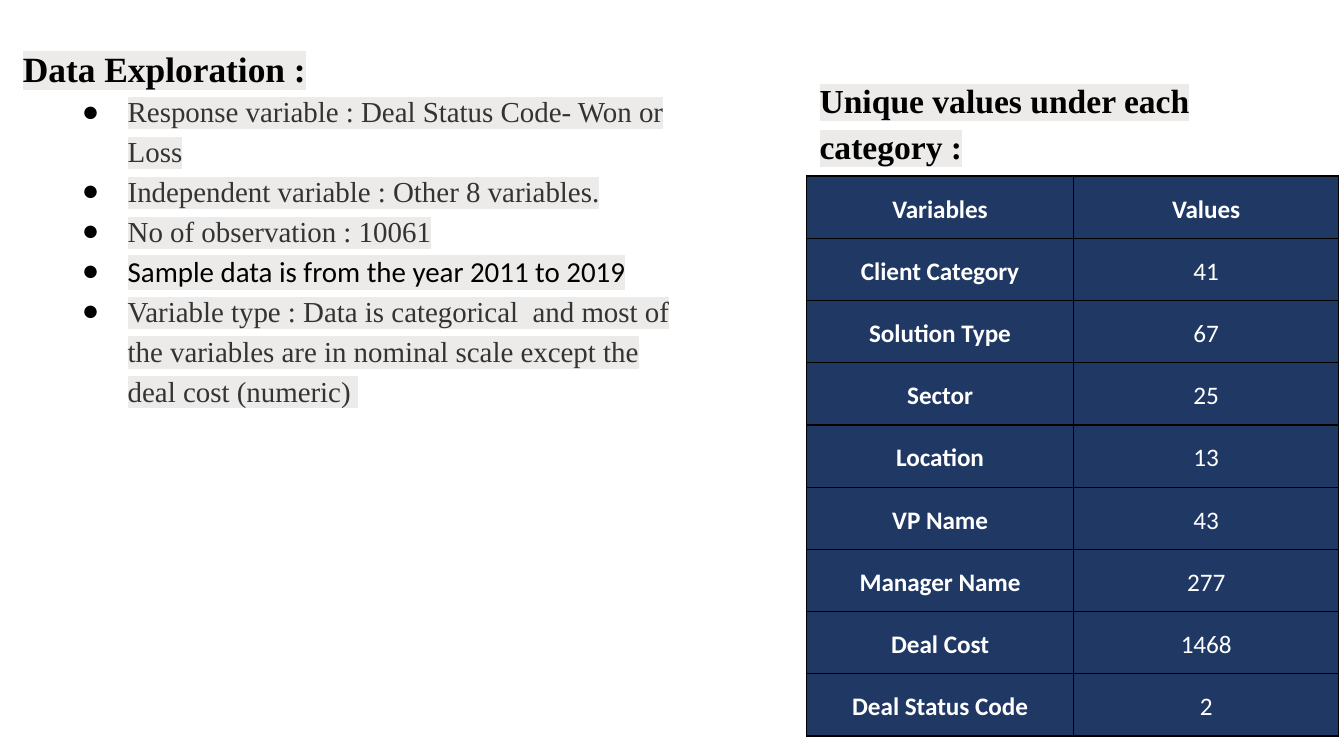
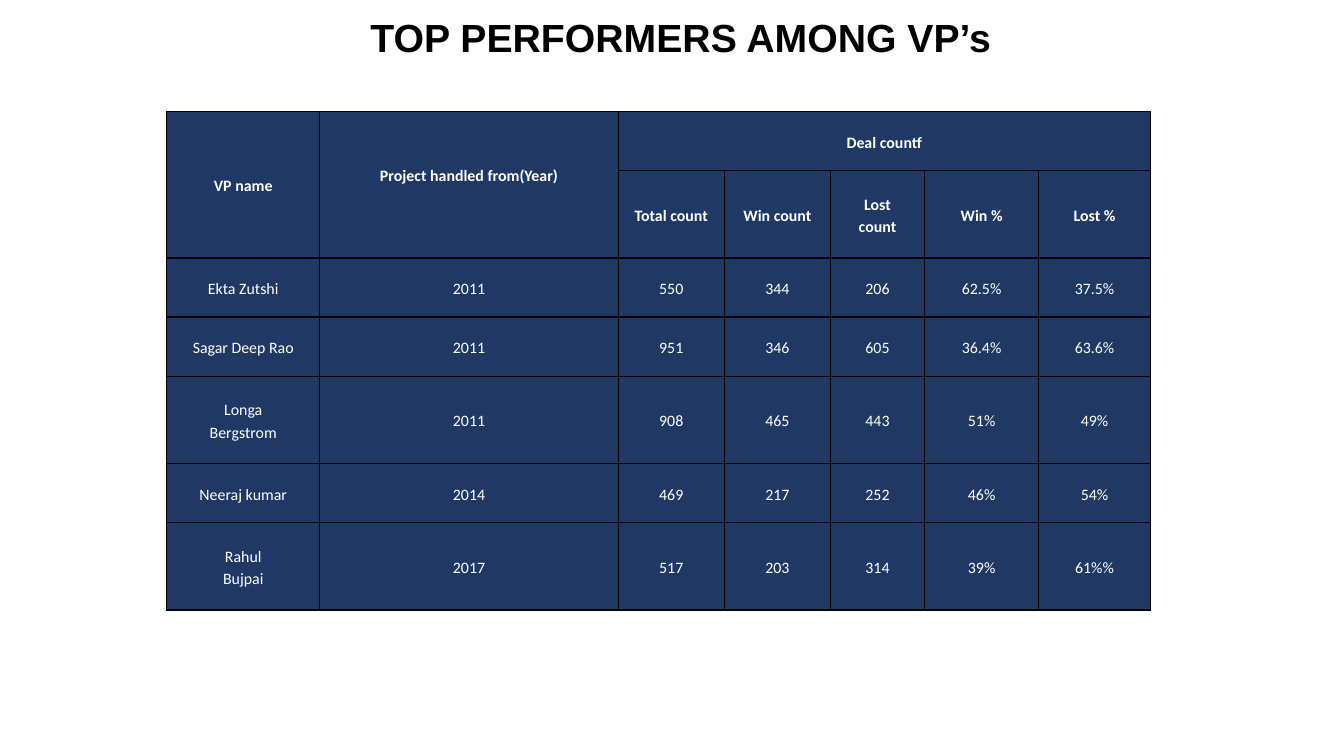
from dataclasses import dataclass

from lxml.etree import SubElement
from pptx import Presentation
from pptx.dml.color import RGBColor
from pptx.enum.text import MSO_ANCHOR, MSO_AUTO_SIZE, PP_ALIGN
from pptx.oxml import parse_xml
from pptx.oxml.ns import nsdecls, qn
from pptx.util import Inches, Pt

BLACK = RGBColor(0x00, 0x00, 0x00)
WHITE = RGBColor(0xFF, 0xFF, 0xFF)
GREY = RGBColor(0x33, 0x33, 0x33)
NAVY = RGBColor(0x20, 0x38, 0x64)
HIGHLIGHT = RGBColor(0xED, 0xEB, 0xE9)

SERIF, SANS, TITLE_FONT = "Times New Roman", "Calibri", "Arial"
SLIDE_WIDTH = 10
SLIDE_HEIGHT = SLIDE_WIDTH * 9 / 16
INSET = 0.1
LINE_SPACING = 1.15


@dataclass(frozen=True)
class Style:
    """Look of a run of text."""
    size: float
    font: str
    color: RGBColor
    bold: bool = False
    highlight: RGBColor | None = None


@dataclass(frozen=True)
class Box:
    """Position and size in inches."""
    left: float
    top: float
    width: float
    height: float


@dataclass(frozen=True)
class Grid:
    """Table position, sizes in inches, and text settings."""
    left: float
    top: float
    cols: list[float]
    rows: list[float]
    size: float
    indent: float = 0


SECTION = Style(19, SERIF, BLACK, True, HIGHLIGHT)
SUBHEAD = Style(18, SERIF, BLACK, True, HIGHLIGHT)
HEADLINE = Style(21, TITLE_FONT, BLACK, True)
BULLET = Style(15.5, SERIF, GREY, False, HIGHLIGHT)
BULLET_SANS = Style(15.5, SANS, BLACK, False, HIGHLIGHT)


def add_run(p, text: str, style: Style) -> None:
    """Add one styled run to a paragraph."""
    r = p.add_run()
    r.text = text
    r.font.size = Pt(style.size)
    r.font.name = style.font
    r.font.bold = style.bold
    r.font.color.rgb = style.color
    if style.highlight is not None:
        fill = r.font._element.find(qn("a:solidFill"))
        fill.addnext(parse_xml(
            f'<a:highlight {nsdecls("a")}>'
            f'<a:srgbClr val="{style.highlight}"/></a:highlight>'))


def format_paragraph(p, align=PP_ALIGN.LEFT, spacing: float = LINE_SPACING) -> None:
    """Set alignment and spacing of a paragraph."""
    p.alignment = align
    p.line_spacing = spacing
    p.space_before = p.space_after = Pt(0)


def add_bullet(p, left: float, hanging: float) -> None:
    """Give a paragraph a black round bullet with a hanging indent."""
    pPr = p._p.get_or_add_pPr()
    pPr.set("marL", str(Inches(left)))
    pPr.set("indent", str(-Inches(hanging)))
    color = SubElement(pPr, qn("a:buClr"))
    SubElement(color, qn("a:srgbClr")).set("val", str(BLACK))
    SubElement(pPr, qn("a:buChar")).set("char", "●")


def place(sp, box: Box, top_inset: float = INSET):
    """Move a text shape, set its insets and return its text frame."""
    sp.left, sp.top = Inches(box.left), Inches(box.top)
    sp.width, sp.height = Inches(box.width), Inches(box.height)
    tf = sp.text_frame
    tf.word_wrap = True
    tf.auto_size = MSO_AUTO_SIZE.NONE
    tf.vertical_anchor = MSO_ANCHOR.TOP
    tf.margin_left = tf.margin_right = tf.margin_bottom = Inches(INSET)
    tf.margin_top = Inches(top_inset)
    return tf


def write_heading(sp, box: Box, text: str, style: Style,
                  align=PP_ALIGN.LEFT, spacing: float = LINE_SPACING) -> None:
    """Write a heading into a title placeholder or a text box."""
    p = place(sp, box).paragraphs[0]
    format_paragraph(p, align, spacing)
    add_run(p, text, style)


def write_list(sp, box: Box, items: list[tuple[str, Style]]) -> None:
    """Write a bulleted list into a body placeholder."""
    tf = place(sp, box, top_inset=0)
    for i, (text, style) in enumerate(items):
        p = tf.add_paragraph() if i else tf.paragraphs[0]
        format_paragraph(p)
        add_bullet(p, 0.78, 0.34)
        add_run(p, text, style)


def format_cell(cell) -> None:
    """Give a cell its fill, insets and thin black borders."""
    cell.fill.solid()
    cell.fill.fore_color.rgb = NAVY
    cell.vertical_anchor = MSO_ANCHOR.MIDDLE
    cell.margin_left = cell.margin_right = Inches(INSET)
    cell.margin_top = cell.margin_bottom = Inches(INSET)
    tcPr = cell._tc.get_or_add_tcPr()
    for i, side in enumerate(("lnL", "lnR", "lnT", "lnB")):
        tcPr.insert(i, parse_xml(
            f'<a:{side} {nsdecls("a")} w="{Pt(0.75)}"><a:solidFill>'
            f'<a:srgbClr val="{BLACK}"/></a:solidFill></a:{side}>'))


def write_cell(cell, text: str, grid: Grid, bold: bool) -> None:
    """Write centred cell text, one paragraph per line."""
    tf = cell.text_frame
    for i, line in enumerate(text.split("\n")):
        p = tf.add_paragraph() if i else tf.paragraphs[0]
        format_paragraph(p, PP_ALIGN.CENTER)
        if grid.indent:
            pPr = p._p.get_or_add_pPr()
            for side in ("marL", "marR"):
                pPr.set(side, str(Inches(grid.indent)))
        add_run(p, line, Style(grid.size, SANS, WHITE, bold))


def add_grid(s, grid: Grid, data: list[list[str]],
             header_rows: int = 1, header_cols: int = 0):
    """Add a table with bold header rows and columns; return it."""
    frame = s.shapes.add_table(
        len(grid.rows), len(grid.cols), Inches(grid.left), Inches(grid.top),
        Inches(sum(grid.cols)), Inches(sum(grid.rows)))
    table = frame.table
    table.first_row = table.horz_banding = False
    for col, width in zip(table.columns, grid.cols):
        col.width = Inches(width)
    for row, height in zip(table.rows, grid.rows):
        row.height = Inches(height)
    for i, values in enumerate(data):
        for j, text in enumerate(values):
            cell = table.cell(i, j)
            format_cell(cell)
            if text:
                write_cell(cell, text, grid, i < header_rows or j < header_cols)
    return table


def build_exploration(prs) -> None:
    """Build the slide on variables and their unique values."""
    s = prs.slides.add_slide(prs.slide_layouts[1])
    write_heading(s.shapes.title, Box(0.07, 0.2, 5.18, 0.46),
                  "Data Exploration :", SECTION)
    write_list(s.placeholders[1], Box(0.07, 0.66, 5.18, 2.47), [
        ("Response variable : Deal Status Code- Won or Loss", BULLET),
        ("Independent variable : Other 8 variables.", BULLET),
        ("No of observation : 10061", BULLET),
        ("Sample data is from the year 2011 to 2019", BULLET_SANS),
        ("Variable type : Data is categorical  and most of the variables are "
         "in nominal scale except the deal cost (numeric) ", BULLET),
    ])
    data = [
        ["Variables", "Values"],
        ["Client Category", "41"],
        ["Solution Type", "67"],
        ["Sector", "25"],
        ["Location", "13"],
        ["VP Name", "43"],
        ["Manager Name", "277"],
        ["Deal Cost", "1468"],
        ["Deal Status Code", "2"],
    ]
    grid = Grid(6, 1.31, [1.99, 1.97], [0.4] * len(data), 13.5, indent=0.06)
    add_grid(s, grid, data, header_cols=1)
    box = Box(6, 0.45, 3.73, 0.85)
    sp = s.shapes.add_textbox(0, 0, Inches(box.width), Inches(box.height))
    write_heading(sp, box, "Unique values under each category :", SUBHEAD)


def build_performers(prs) -> None:
    """Build the slide comparing the deal counts of the VPs."""
    s = prs.slides.add_slide(prs.slide_layouts[5])
    write_heading(s.shapes.title, Box(0, 0, 10.13, 0.56),
                  "TOP PERFORMERS AMONG VP’s", HEADLINE, PP_ALIGN.CENTER, 1.0)
    data = [
        ["VP name", "Project handled from(Year)", "Deal countf", "", "", "", ""],
        ["", "", "Total count", "Win count", "Lost count", "Win %", "Lost %"],
        ["Ekta Zutshi", "2011", "550", "344", "206", "62.5%", "37.5%"],
        ["Sagar Deep Rao", "2011", "951", "346", "605", "36.4%", "63.6%"],
        ["Longa\nBergstrom", "2011", "908", "465", "443", "51%", "49%"],
        ["Neeraj kumar", "2014", "469", "217", "252", "46%", "54%"],
        ["Rahul\nBujpai", "2017", "517", "203", "314", "39%", "61%%"],
    ]
    one_line, two_lines = 0.44, 0.65
    grid = Grid(1.24, 0.83, [1.14, 2.22, 0.79, 0.79, 0.7, 0.85, 0.83],
                [one_line, two_lines, one_line, one_line,
                 two_lines, one_line, two_lines], 8.5)
    table = add_grid(s, grid, data, header_rows=2)
    for col in (0, 1):
        table.cell(0, col).merge(table.cell(1, col))
    table.cell(0, 2).merge(table.cell(0, 6))
    table.cell(0, 1).margin_bottom = Inches(0.26)


def main() -> None:
    """Build and save the presentation."""
    prs = Presentation()
    prs.slide_width, prs.slide_height = Inches(SLIDE_WIDTH), Inches(SLIDE_HEIGHT)
    build_exploration(prs)
    build_performers(prs)
    prs.save("out.pptx")


main()
